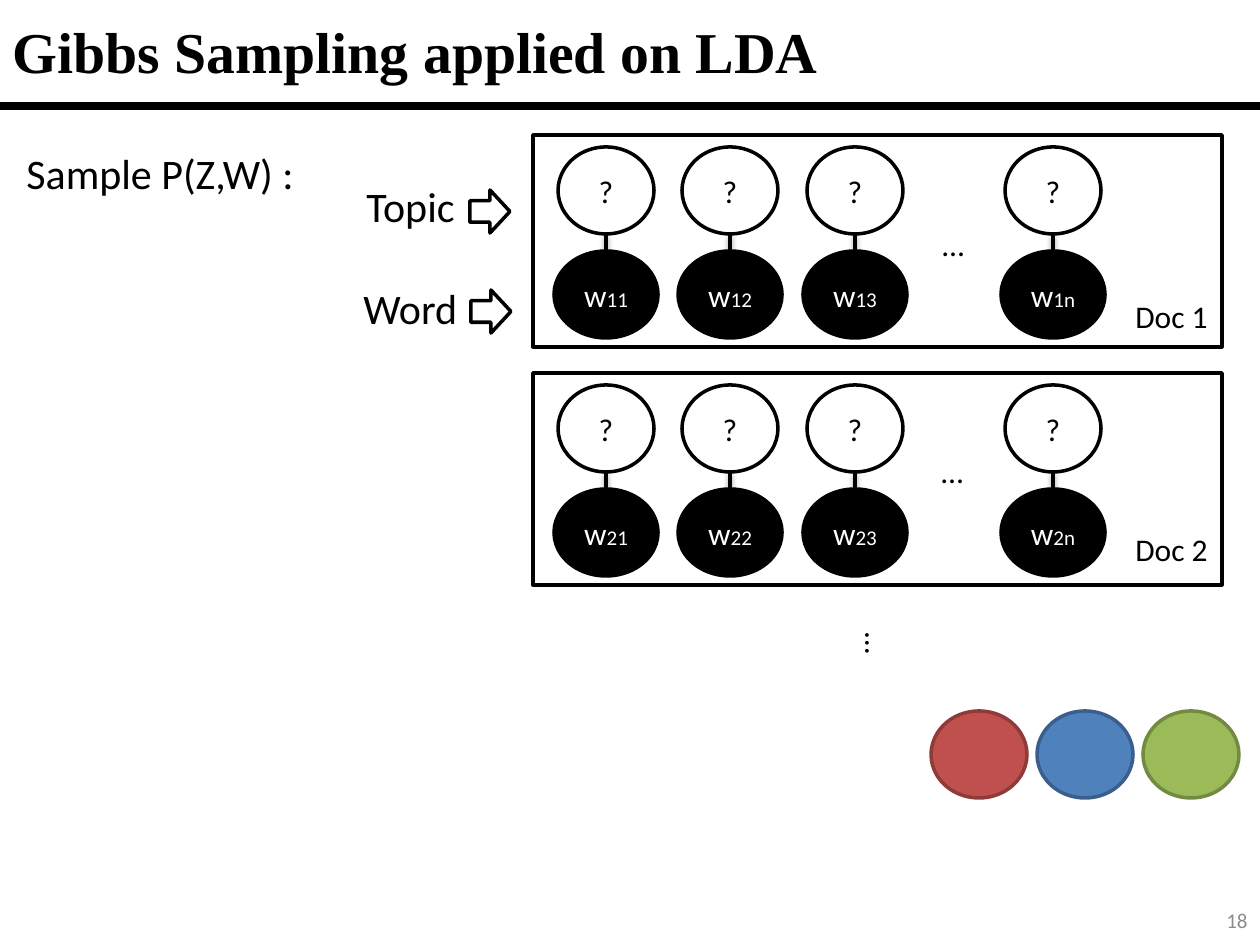
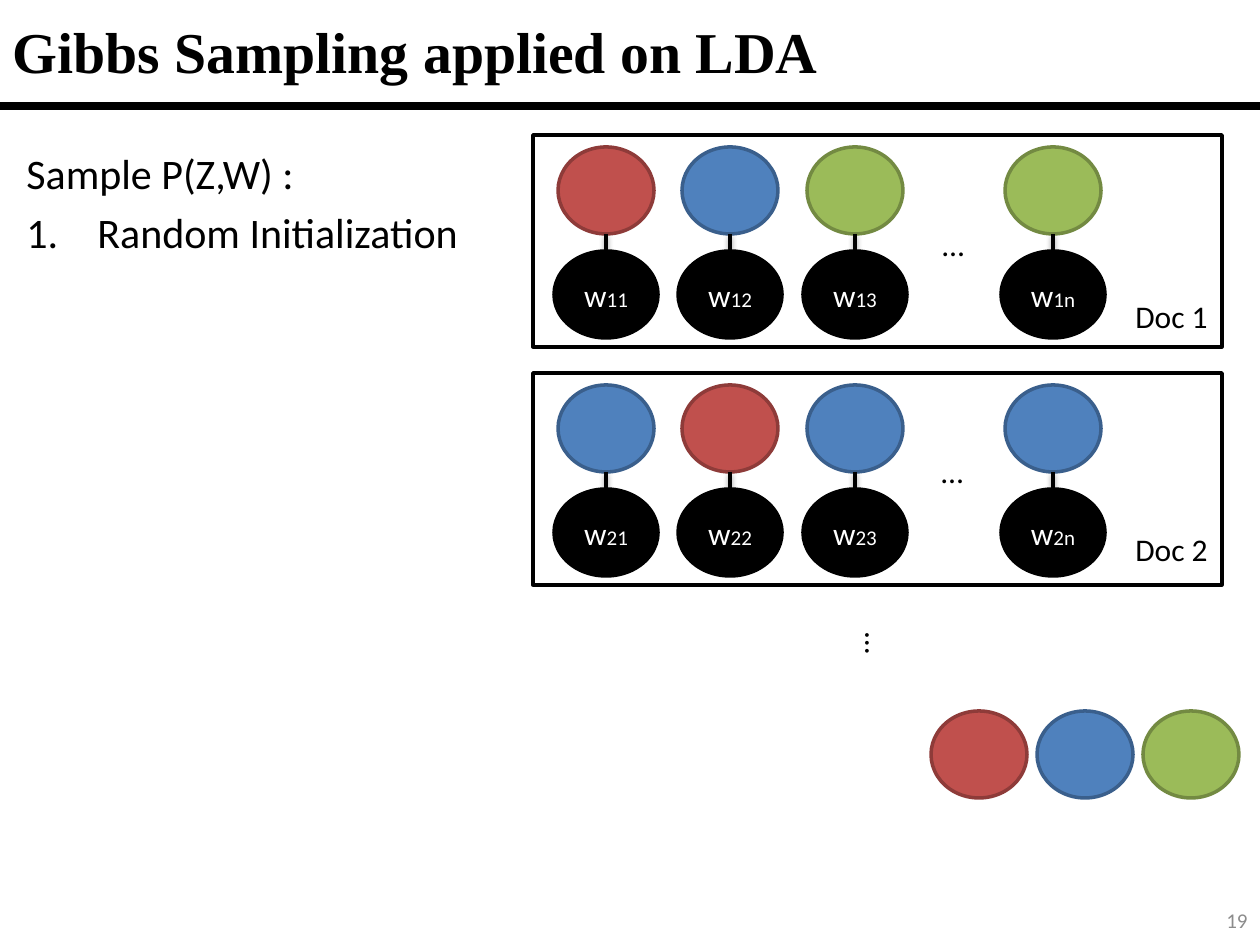
import pptx
import pptx.util
import pptx.dml.color
import pptx.enum.shapes
import pptx.enum.text
import pptx.oxml
import pptx.oxml.ns
import lxml.etree

EMU_PER_PX = 914400 / 126
BODY_FONT, TITLE_FONT = "Calibri", "Times New Roman"
BLACK, WHITE, GREY = "000000", "FFFFFF", "8C8C8C"

# Fill and outline of each topic circle
TOPICS = {
    "red": ("C0504D", "8E3B39"),
    "blue": ("4F81BD", "3A5F8C"),
    "green": ("9BBB59", "738A42"),
    "unknown": (WHITE, BLACK),
}
TOPIC_W, WORD_W, CIRCLE_H = 96, 104, 87
DOC_W, DOC_H = 689, 212
WORD_CENTRES = {"1": 73, "2": 197, "3": 322, "n": 520}

SHAPES = pptx.enum.shapes.MSO_SHAPE
ALIGN = pptx.enum.text.PP_ALIGN
ANCHOR = pptx.enum.text.MSO_ANCHOR


def px(length):
    return pptx.util.Emu(round(length * EMU_PER_PX))


def rgb(hex_string):
    return pptx.dml.color.RGBColor.from_string(hex_string)


def set_attributes(target, values):
    for name, value in values.items():
        setattr(target, name, value)


def write(paragraph, text, size, color=BLACK, font=BODY_FONT, bold=False):
    run = paragraph.add_run()
    run.text = text
    set_attributes(run.font, {"size": pptx.util.Pt(size), "name": font, "bold": bold})
    run.font.color.rgb = rgb(color)


def add_label(slide, box, text, size, color=BLACK, align=ALIGN.LEFT, anchor=ANCHOR.TOP):
    label = slide.shapes.add_textbox(*map(px, box))
    set_attributes(label.text_frame, {"word_wrap": True, "vertical_anchor": anchor})
    paragraph = label.text_frame.paragraphs[0]
    paragraph.alignment = align
    write(paragraph, text, size, color)
    return label


def add_outlined(slide, kind, box, fill=WHITE, outline=BLACK):
    shape = slide.shapes.add_shape(kind, *map(px, box))
    shape.shadow.inherit = False
    shape.fill.solid()
    shape.fill.fore_color.rgb = rgb(fill)
    shape.line.color.rgb = rgb(outline)
    shape.line.width = pptx.util.Pt(2)
    return shape


def add_circle(slide, box, colors, *texts):
    """Each text is a (text, size, colour) run in the middle of the circle."""
    circle = add_outlined(slide, SHAPES.OVAL, box, *colors)
    circle.text_frame.vertical_anchor = ANCHOR.MIDDLE
    paragraph = circle.text_frame.paragraphs[0]
    paragraph.alignment = ALIGN.CENTER
    for text in texts:
        write(paragraph, *text)


def add_line(slide, start, end, width, shadowed=False):
    line = slide.shapes.add_connector(
        pptx.enum.shapes.MSO_CONNECTOR.STRAIGHT, *map(px, start + end))
    line.line.color.rgb = rgb(BLACK)
    line.line.width = pptx.util.Pt(width)
    qn = pptx.oxml.ns.qn
    effects = lxml.etree.SubElement(line._element.spPr, qn("a:effectLst"))
    if shadowed:
        shadow = lxml.etree.SubElement(
            effects, qn("a:outerShdw"), blurRad="40000", dist="20000",
            dir="5400000", rotWithShape="0")
        black = lxml.etree.SubElement(shadow, qn("a:srgbClr"), val=BLACK)
        lxml.etree.SubElement(black, qn("a:alpha"), val="38000")


def add_document(slide, left, top, number, topics, dots_at, label_top):
    """A document frame with a column of topic and word for each word."""
    add_outlined(slide, SHAPES.RECTANGLE, (left, top, DOC_W, DOC_H))
    topic_top, word_top = top + 12, top + 116
    for (index, offset), topic in zip(WORD_CENTRES.items(), topics):
        centre = left + offset
        add_circle(slide, (centre - WORD_W // 2, word_top, WORD_W, CIRCLE_H),
                   (BLACK, BLACK), ("w", 18, WHITE), (f"{number}{index}", 12, WHITE))
        question = [("?", 18, BLACK)] if topic == "unknown" else []
        add_circle(slide, (centre - TOPIC_W // 2, topic_top, TOPIC_W, CIRCLE_H),
                   TOPICS[topic], *question)
        add_line(slide, (centre, topic_top + CIRCLE_H), (centre, word_top), 2, True)
    dots_left, dots_top = dots_at
    add_label(slide, (left + dots_left, top + dots_top, 70, 50), "…", 18)
    add_label(slide, (left + 590, top + label_top, 117, 50), f"Doc {number}", 18)


def add_topic_legend(slide, left, top):
    for position, topic in enumerate(("red", "blue", "green")):
        add_circle(slide, (left + 106 * position, top, TOPIC_W, CIRCLE_H), TOPICS[topic])


def add_row_pointers(slide, left, top):
    """Names of the two circle rows, each with an arrow to the first document."""
    for name, name_at, arrow_at in (("Topic", (3, 0), (119, 16)),
                                    ("Word", (0, 102), (120, 116))):
        add_outlined(slide, SHAPES.RIGHT_ARROW,
                     (left + arrow_at[0], top + arrow_at[1], 40, 43))
        add_label(slide, (left + name_at[0], top + name_at[1], 152, 63), name, 24)


def add_steps(slide, left, top, steps):
    """The heading of the sampling procedure and its numbered steps."""
    heading = add_label(slide, (left, top, 483, 100 + 49 * len(steps)),
                        "Sample P(Z,W) :", 24)
    for step in steps:
        paragraph = heading.text_frame.add_paragraph()
        paragraph.space_before = pptx.util.Pt(5)
        properties = paragraph._p.get_or_add_pPr()
        properties.set("marL", str(px(71)))
        properties.set("indent", str(-px(71)))
        lxml.etree.SubElement(properties, pptx.oxml.ns.qn("a:buFont"), typeface="+mj-lt")
        lxml.etree.SubElement(properties, pptx.oxml.ns.qn("a:buAutoNum"), type="arabicPeriod")
        write(paragraph, step, 24)


def add_title(slide, text):
    title = slide.shapes.title
    set_attributes(title, {"left": 0, "top": 0, "width": px(1260), "height": px(100)})
    set_attributes(title.text_frame, {
        "vertical_anchor": ANCHOR.MIDDLE, "word_wrap": True,
        "auto_size": pptx.enum.text.MSO_AUTO_SIZE.NONE})
    paragraph = title.text_frame.paragraphs[0]
    paragraph.alignment = ALIGN.LEFT
    write(paragraph, text, 33, font=TITLE_FONT, bold=True)
    add_line(slide, (0, 106), (1260, 106), 4.5)


def add_sampling_slide(deck, page, first_topics, second_topics, steps=()):
    slide = deck.slides.add_slide(deck.slide_layouts[5])
    add_title(slide, "Gibbs Sampling applied on LDA")
    more_documents = add_label(slide, (843, 630, 70, 50), "…", 18)
    more_documents.rotation = 90
    add_document(slide, 533, 135, 1, first_topics, (397, 84), 156)
    add_document(slide, 533, 373, 2, second_topics, (396, 73), 151)
    add_topic_legend(slide, 931, 711)
    add_steps(slide, 14, 141, steps)
    add_label(slide, (976, 895, 284, 50), str(page), 12, GREY, ALIGN.RIGHT, ANCHOR.MIDDLE)
    return slide


def main():
    deck = pptx.Presentation()
    set_attributes(deck, {"slide_width": px(1260), "slide_height": px(945)})

    # Topics still unknown
    unknown = ["unknown"] * len(WORD_CENTRES)
    slide = add_sampling_slide(deck, 18, unknown, unknown)
    add_row_pointers(slide, 351, 174)

    # Topics drawn at random
    add_sampling_slide(deck, 19, ["red", "blue", "green", "green"],
                       ["blue", "red", "blue", "blue"], ["Random Initialization"])
    deck.save("out.pptx")


if __name__ == "__main__":
    main()
